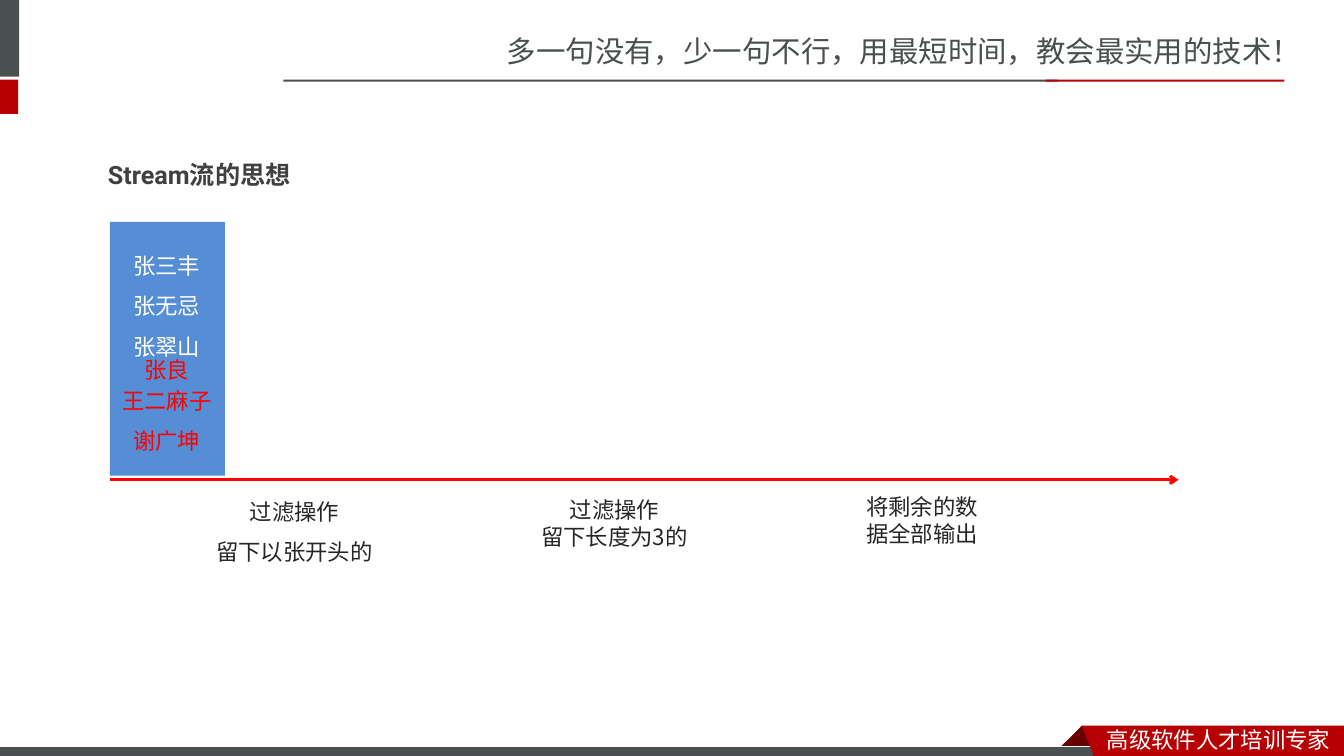
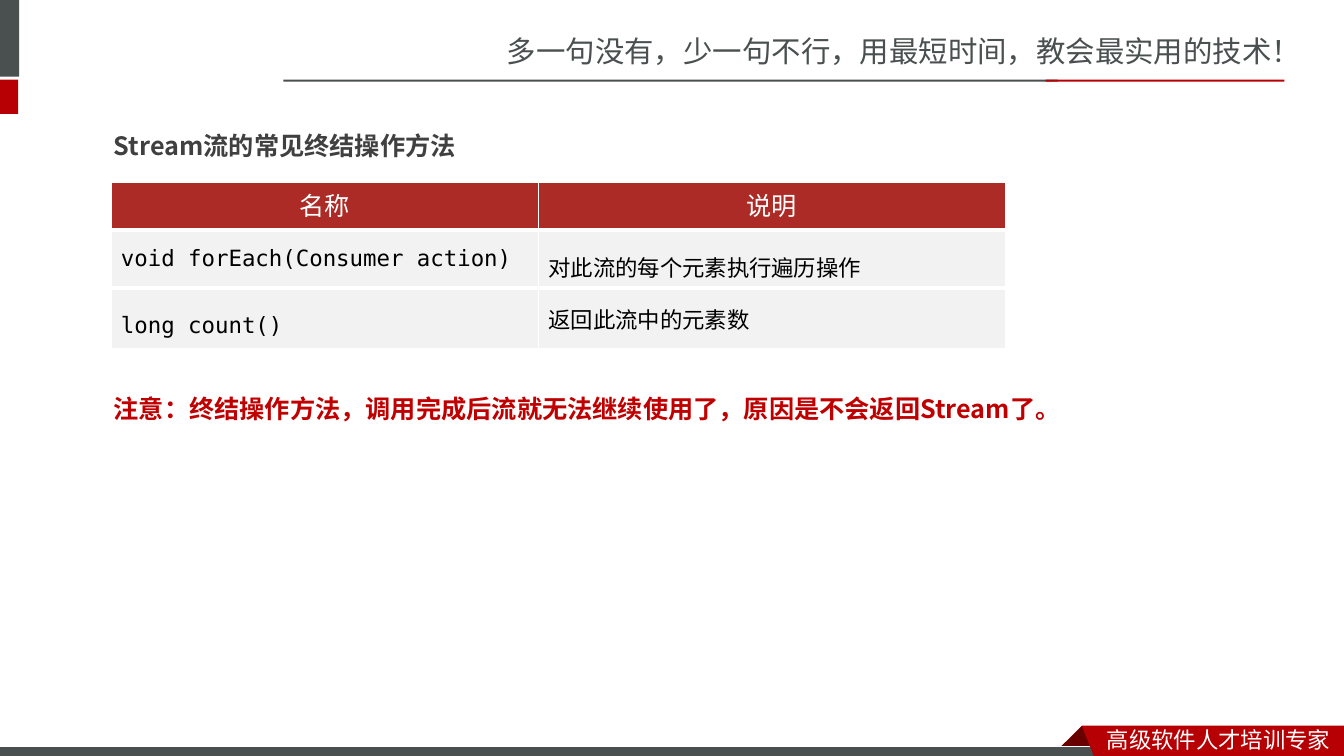
from lxml import etree
from pptx import Presentation
from pptx import util as u
from pptx.dml.color import RGBColor
from pptx.enum import shapes, text
from pptx.oxml import ns

# Content
MOTTO = "多一句没有，少一句不行，用最短时间，教会最实用的技术！"
BADGE = "高级软件人才培训专家"
HEADS = ["Stream流的思想", "Stream流的常见终结操作方法"]
STEPS = [  # box, lines, line spacing
    ((1.9, 4.76, 2.04, 0.86), ["过滤操作", "留下以张开头的"], 1.5),
    ((4.93, 4.87, 2.33, 0.64), ["过滤操作", "留下长度为3的"], 1),
    ((8.41, 4.84, 1.47, 0.64), ["将剩余的数据全部输出"], 1),
]
NAMES = [  # box, lines, colour
    ((1.1, 3.66, 1.11, 0.86), ["王二麻子", "谢广坤"], "FF0000"),
    ((0.82, 2.32, 1.67, 1.27), ["张三丰", "张无忌", "张翠山"], "FFFFFF"),
    ((1.25, 3.35, 0.81, 0.46), ["张良"], "FF0000"),
]
ROWS = [
    ["名称", "说明"],
    ["void forEach(Consumer action)", "对此流的每个元素执行遍历操作"],
    ["long count()", "返回此流中的元素数"],
]
NOTE = "注意：终结操作方法，调用完成后流就无法继续使用了，原因是不会返回Stream了。"

# Look
GREY, RED, DARK, WHITE = "49504F", "B60004", "680000", "FFFFFF"
SANS, JP, MONO, LATIN = "Noto Sans CJK SC", "Noto Sans CJK JP", "DejaVu Sans Mono", "Roboto"
MID = text.PP_ALIGN.CENTER
LEFT = text.PP_ALIGN.LEFT
BARS = [  # box, fill, line
    ((-0.06, 0, 0.25, 0.76), GREY, None),
    ((-0.06, 0.79, 0.24, 0.34), RED, None),
    ((2.81, 0.79, 7.68, 0.02), GREY, None),
    ((10.37, 0.79, 2.37, 0.02), RED, None),
]
BASE = ((-0.01, 7.41, 11, 0.12), GREY, WHITE)
FOLD = [(1073, 720), (1095, 742), (1094, 743), (1052, 743), (1051, 742)]
FLAG = [(1073, 720), (1333, 720), (1333, 754), (1086, 753)]  # hundredths of an inch


def rgb(hue):
    return RGBColor.from_string(hue)


def span(box):
    return [u.Inches(n) for n in box]


def paint(shape, fill, line=None):
    shape.shadow.inherit = False
    shape.fill.solid()
    shape.fill.fore_color.rgb = rgb(fill)
    if line:
        shape.line.color.rgb = rgb(line)
        shape.line.width = u.Pt(0.75)
    else:
        shape.line.fill.background()


def bar(page, box, fill, line=None):
    rect = page.shapes.add_shape(shapes.MSO_SHAPE.RECTANGLE, *span(box))
    paint(rect, fill, line)


def poly(page, spots, fill):
    pen = page.shapes.build_freeform(*spots[0], scale=9144)
    pen.add_line_segments(spots[1:], close=True)
    paint(pen.convert_to_shape(), fill)


def write(frame, lines, hue, size=16, font=SANS, bold=False, **para):
    look = {"alignment": LEFT, "line_spacing": 1, "space_before": u.Pt(0), **para}
    for i, line in enumerate(lines):
        p = frame.add_paragraph() if i else frame.paragraphs[0]
        for key, val in look.items():
            setattr(p, key, val)
        run = p.add_run()
        run.text = line
        for key, val in {"name": font, "size": u.Pt(size), "bold": bold}.items():
            setattr(run.font, key, val)
        run.font.color.rgb = rgb(hue)
        east = etree.SubElement(run.font._element, ns.qn("a:ea"))
        east.set("typeface", SANS if font in (LATIN, MONO) else font)


def label(page, box, lines, hue, **look):
    note = page.shapes.add_textbox(*span(box))
    note.text_frame.word_wrap = True
    write(note.text_frame, lines, hue, **look)


def head(page, box, line, font):
    title = page.shapes.title
    title.left, title.top, title.width, title.height = span(box)
    frame = title.text_frame
    frame.auto_size = text.MSO_AUTO_SIZE.NONE
    frame.vertical_anchor = text.MSO_ANCHOR.TOP
    write(frame, [line], "404040", 18, font, True, line_spacing=1.5)


def edge(cell, sides):
    props = cell._tc.get_or_add_tcPr()
    for side, width in sides.items():
        line = etree.SubElement(props, ns.qn("a:ln" + side), w=str(u.Pt(width)))
        fill = etree.SubElement(line, ns.qn("a:solidFill"))
        etree.SubElement(fill, ns.qn("a:srgbClr"), val=WHITE)


deck = Presentation()
deck.slide_width, deck.slide_height = span((13.33, 7.5))
plan = deck.slide_layouts[5]
for hold in list(plan.placeholders)[1:]:
    hold.element.getparent().remove(hold.element)
flow, ends = [deck.slides.add_slide(plan) for _ in HEADS]

# Shared bands, motto and badge: drawn once, then moved to the layout
label(flow, (4.93, 0.28, 8.4, 0.47), [MOTTO], GREY, size=21)
for item in BARS:
    bar(flow, *item)
poly(flow, FOLD, DARK)
bar(flow, *BASE)
poly(flow, FLAG, RED)
label(flow, (10.88, 7.15, 2.45, 0.37), [BADGE], WHITE)
for part in list(flow.shapes):
    if not part.is_placeholder:
        plan.shapes.element.append(part.element)

# Slide 1: names running along the stream
head(flow, (0.97, 1.38, 5.12, 0.51), HEADS[0], LATIN)
for box, lines, gap in STEPS:
    label(flow, box, lines, "262626", alignment=MID, line_spacing=gap)
bar(flow, (1.09, 2.2, 1.14, 2.52), "558ED5")
arrow = flow.shapes.add_connector(
    shapes.MSO_CONNECTOR.STRAIGHT, *span((1.09, 4.76, 11.69, 4.76)))
arrow.line.color.rgb = rgb("FF0000")
arrow.line.width = u.Pt(2)
etree.SubElement(arrow.line._get_or_add_ln(), ns.qn("a:tailEnd"), type="arrow")
etree.SubElement(arrow._element.spPr, ns.qn("a:effectLst"))
for box, lines, hue in NAMES:
    label(flow, box, lines, hue, alignment=MID, line_spacing=1.5)

# Slide 2: table of methods
head(ends, (1.03, 1.09, 5.97, 0.51), HEADS[1], JP)
grid = ends.shapes.add_table(3, 2, *span((1.1, 1.81, 8.87, 1.58))).table
for col, wide in zip(grid.columns, (4.24, 4.63)):
    col.width = u.Inches(wide)
for row, tall in zip(grid.rows, (0.47, 0.5, 0.61)):
    row.height = u.Inches(tall)
for r, line in enumerate(ROWS):
    for c, word in enumerate(line):
        cell = grid.cell(r, c)
        edge(cell, {"L": 1, "R": 1, "T": 3 if r else 1, "B": 3})
        cell.fill.solid()
        cell.fill.fore_color.rgb = rgb("F2F2F2" if r else "AD2B26")
        cell.vertical_anchor = text.MSO_ANCHOR.MIDDLE
        if r == 0:
            write(cell.text_frame, [word], WHITE, 18, LATIN,
                  alignment=MID, line_spacing=u.Pt(24))
        else:
            write(cell.text_frame, [word], "000000", font=SANS if c else MONO,
                  line_spacing=1 if r == c + 1 and not c or r == 2 and c else 1.5,
                  space_before=u.Pt(3.2 if r == 1 else 0))
label(ends, (1.03, 3.85, 9.84, 0.4), [NOTE], "C00000", size=18, font=JP, bold=True)

deck.save("out.pptx")
